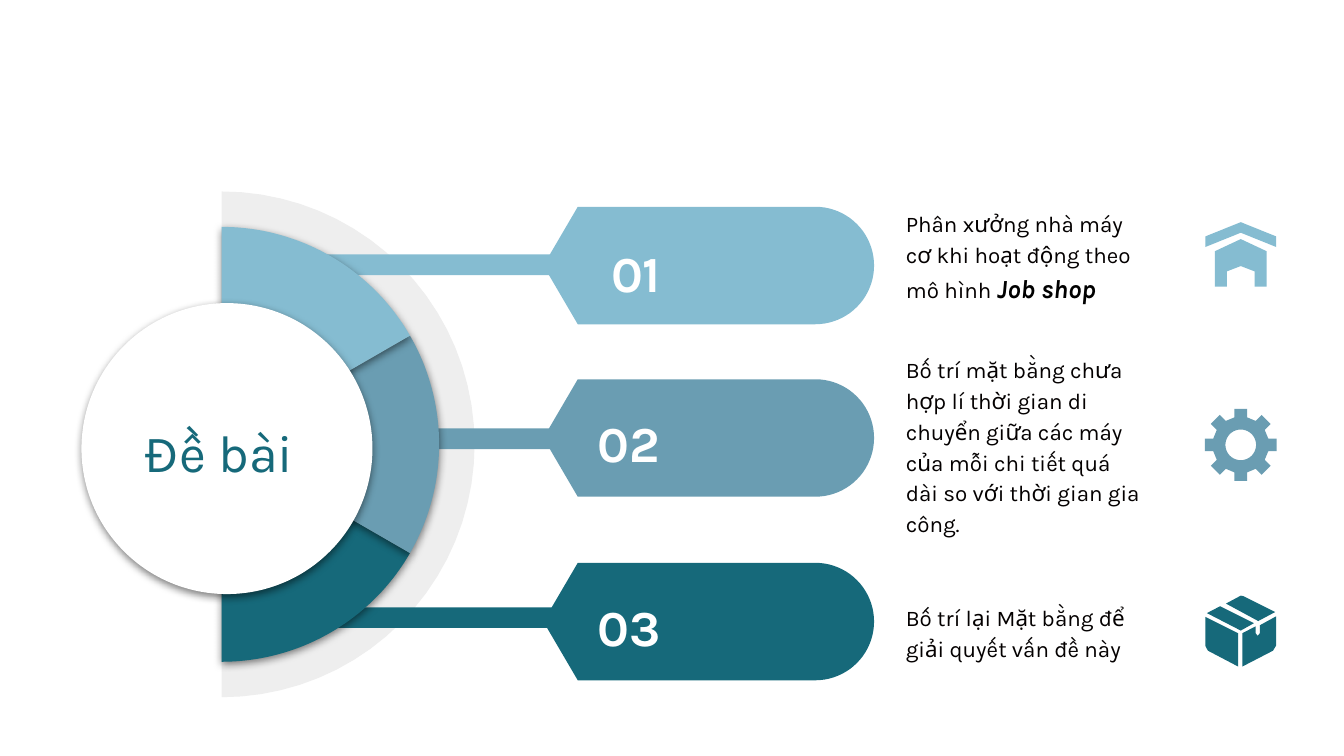
import math

from lxml import etree
from pptx import Presentation
from pptx import util as u
from pptx.dml.color import RGBColor
from pptx.enum import shapes, text
from pptx.oxml.ns import qn

COLOURS = {
    "light": "85BCD1", "mid": "6A9DB2", "dark": "16697A",
    "halo": "EEEEEE", "white": "FFFFFF", "ink": "040000", "black": "000000",
}
FONT = "Karla"


def arc(centre, radius, start, end, steps=40):
    """Points on a circle, in degrees clockwise from the right."""
    angles = [math.radians(start + (end - start) * i / steps) for i in range(steps + 1)]
    return [(centre[0] + radius * math.cos(a), centre[1] + radius * math.sin(a))
            for a in angles]


def mirrored(axis, half):
    """Close a symmetric outline from its left half, given as offsets from the axis."""
    return [(axis - dx, y) for dx, y in half] + [(axis + dx, y) for dx, y in half[::-1]]


def gear_outline(centre, root, tip, half_width, teeth=8):
    points = []
    for tooth in range(teeth):
        a = math.tau * tooth / teeth
        for along, across in ((root, -half_width), (tip, -half_width),
                              (tip, half_width), (root, half_width)):
            points.append((centre[0] + along * math.cos(a) - across * math.sin(a),
                           centre[1] + along * math.sin(a) + across * math.cos(a)))
    return points


class Painter:
    def __init__(self, page):
        self.page = page

    def colour(self, name):
        return RGBColor.from_string(COLOURS[name])

    def paint(self, shape, colour, shadow=False):
        shape.fill.solid()
        shape.fill.fore_color.rgb = self.colour(colour)
        shape.line.fill.background()
        shape.shadow.inherit = False
        if shadow:
            effects = shape._element.spPr.find(qn("a:effectLst"))
            outer = etree.SubElement(effects, qn("a:outerShdw"), blurRad=str(u.Pt(4.5)),
                                     dist=str(u.Pt(1.5)), dir="5400000",
                                     algn="bl", rotWithShape="0")
            tint = etree.SubElement(outer, qn("a:srgbClr"), val=COLOURS["black"])
            etree.SubElement(tint, qn("a:alpha"), val="49000")
        return shape

    def outline(self, contours, colour, shadow=False, parent=None):
        first, *others = [[(u.Cm(x), u.Cm(y)) for x, y in c] for c in contours]
        builder = (parent or self.page).shapes.build_freeform(*first[0])
        builder.add_line_segments(first[1:])
        for contour in others:
            builder.move_to(*contour[0])
            builder.add_line_segments(contour[1:])
        return self.paint(builder.convert_to_shape(), colour, shadow)

    def preset(self, kind, frame, colour, shadow=False):
        shape = self.page.shapes.add_shape(kind, *map(u.Cm, frame))
        return self.paint(shape, colour, shadow)

    def icon(self, parts, colour):
        group = self.page.shapes.add_group_shape()
        for part in parts:
            self.outline([part], colour, parent=group)

    def frame_text(self, box, anchor, left=0, right=0):
        frame = box.text_frame
        frame.word_wrap = True
        frame.auto_size = text.MSO_AUTO_SIZE.NONE
        frame.vertical_anchor = anchor
        frame.margin_left, frame.margin_right = u.Cm(left), u.Cm(right)
        frame.margin_top, frame.margin_bottom = u.Cm(0.03), 0
        return frame

    def font(self, target, size, colour, bold=False, italic=False):
        target.font.name = FONT
        target.font.size = u.Pt(size)
        target.font.color.rgb = self.colour(colour)
        target.font.bold, target.font.italic = bold, italic

    def title(self, words, frame):
        box = self.page.shapes.title
        box.left, box.top, box.width, box.height = map(u.Cm, frame)
        self.page.shapes._spTree.append(box._element)  # bring to front
        para = self.frame_text(box, text.MSO_ANCHOR.TOP, right=0.3).paragraphs[0]
        para.text = words
        para.alignment = text.PP_ALIGN.CENTER
        self.font(para, 28, "dark")

    def number(self, words, frame, indent):
        box = self.page.shapes.add_textbox(*map(u.Cm, frame))
        para = self.frame_text(box, text.MSO_ANCHOR.MIDDLE, left=indent).paragraphs[0]
        para.text = words
        para.line_spacing, para.space_before = 1.15, u.Pt(3)
        self.font(para, 27, "white", bold=True)

    def detail(self, lines, emphasis, frame):
        box = self.page.shapes.add_textbox(*map(u.Cm, frame))
        body = self.frame_text(box, text.MSO_ANCHOR.MIDDLE)
        for i, line in enumerate(lines):
            para = body.add_paragraph() if i else body.paragraphs[0]
            para.line_spacing = 1.15
            span = para.add_run()
            span.text = line
            self.font(span, 12, "ink")
        if emphasis:
            span = para.add_run()
            span.text = emphasis
            self.font(span, 14, "black", bold=True, italic=True)


# label, colour, tag top, bar top, number top, number indent, detail top, lines, emphasis
ROWS = [
    ("01", "light", 3.91, 4.81, 3.99, 0.25, 3.91,
     ["Phân xưởng nhà máy cơ khi hoạt động theo mô hình "], "Job shop"),
    ("02", "mid", 7.17, 8.1, 7.21, 0, 7.49,
     ["Bố trí mặt bằng chưa hợp lí thời gian di chuyển giữa các máy của mỗi chi tiết quá",
      "dài so với thời gian gia công."], None),
    ("03", "dark", 10.64, 11.48, 10.69, 0, 11.02,
     ["Bố trí lại Mặt bằng để giải quyết vấn đề này"], None),
]
HUB = (4.19, 8.4)
ICON_X = 23.45
TAG_RADIUS = 1.11


def main():
    deck = Presentation()
    deck.slide_width, deck.slide_height = u.Cm(25.4), u.Cm(14.29)
    page = deck.slides.add_slide(deck.slide_layouts[5])
    painter = Painter(page)

    # Grey half disc behind everything
    painter.outline([arc(HUB, 4.78, -90, 90)], "halo")

    # Tags and their bars
    for _, colour, tag_top, bar_top, *_ in ROWS:
        middle = tag_top + TAG_RADIUS
        cap = arc((15.41, middle), TAG_RADIUS, -90, 90)
        painter.outline([[(10.92, middle + TAG_RADIUS), (10.27, middle),
                          (10.92, tag_top)] + cap], colour)
        bar = painter.preset(shapes.MSO_SHAPE.ROUNDED_RECTANGLE,
                             (5.82, bar_top, 5.23, 0.39), colour)
        bar.adjustments[0] = 0.5

    # Sectors, lowest first, and the central disc
    for i in (2, 1, 0):
        start = -90 + 60 * i
        painter.outline([[HUB] + arc(HUB, 4.11, start, start + 60)], ROWS[i][1], shadow=True)
    painter.preset(shapes.MSO_SHAPE.OVAL, (1.54, 5.73, 5.5, 5.5), "white", shadow=True)

    # Texts
    painter.title("Đề bài", (2.46, 7.92, 3.66, 1.8))
    for label, _, _, _, number_top, indent, detail_top, lines, emphasis in ROWS:
        painter.number(label, (11.3, number_top, 4.6, 2.11), indent)
        painter.detail(lines, emphasis, (17.12, detail_top, 4.45, 1.8))

    # Warehouse icon
    roof = mirrored(ICON_X, [(0, 4.2), (0.67, 4.47), (0.67, 4.67), (0, 4.4)])
    walls = mirrored(ICON_X, [(0, 4.52), (0.49, 4.75), (0.49, 5.42),
                              (0.26, 5.42), (0.26, 5.13), (0, 5.03)])
    painter.icon([walls, roof], "light")

    # Gear icon
    gear = (ICON_X, 8.41)
    painter.outline([gear_outline(gear, 0.52, 0.68, 0.12), arc(gear, 0.29, 360, 0)], "mid")

    # Parcel icon
    painter.icon([
        [(23.06, 11.46), (22.81, 11.59), (23.45, 11.92), (23.7, 11.78)],
        [(24.12, 11.65), (23.81, 11.82), (23.81, 11.97), (23.77, 12.02), (23.73, 11.97),
         (23.73, 11.84), (23.48, 11.97), (23.48, 12.6), (24.06, 12.3), (24.12, 12.2)],
        [(23.45, 11.26), (23.17, 11.41), (23.78, 11.74), (24.1, 11.57), (23.5, 11.27)],
        [(22.78, 11.66), (22.78, 12.21), (22.83, 12.3), (23.4, 12.6), (23.4, 11.97)],
    ], "dark")

    deck.save("out.pptx")


if __name__ == "__main__":
    main()
